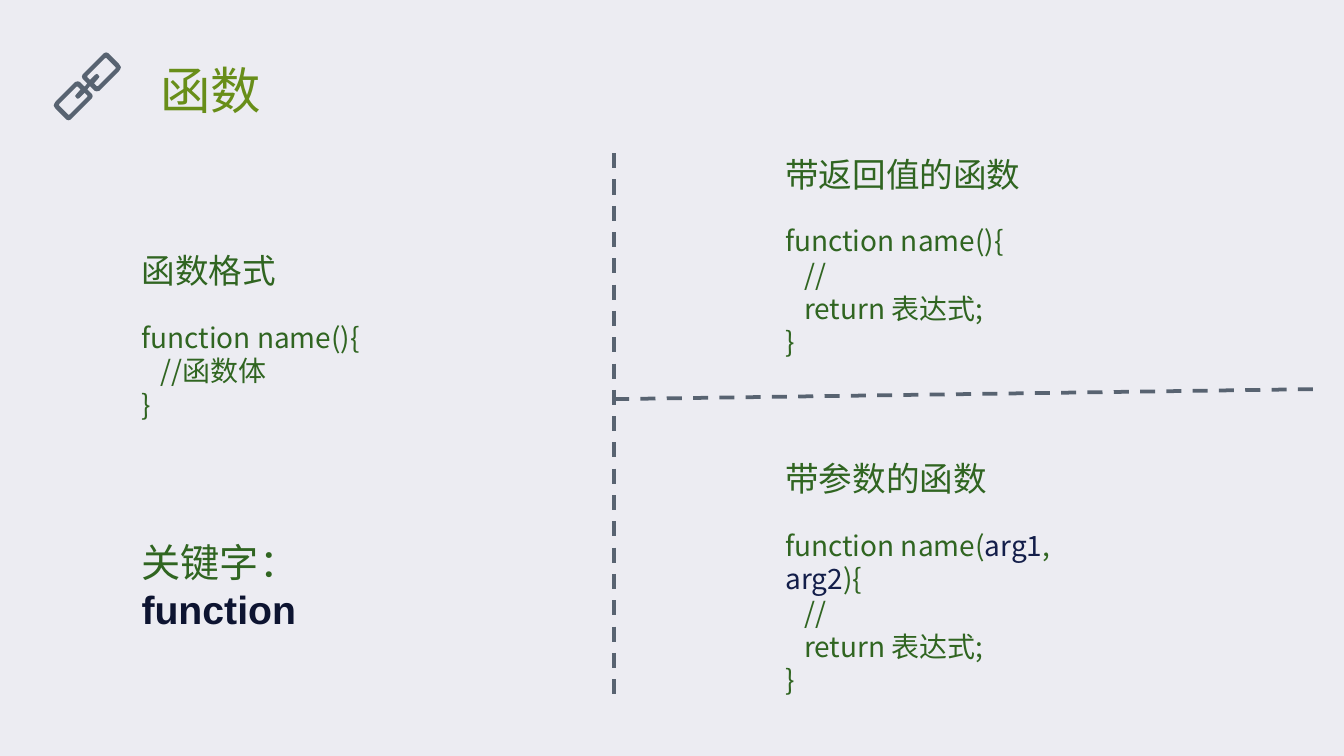
from dataclasses import dataclass

from lxml.etree import SubElement
from pptx import Presentation
from pptx.dml.color import RGBColor as Rgb
from pptx.enum.dml import MSO_LINE_DASH_STYLE as Dash
from pptx.enum.shapes import MSO_CONNECTOR as Link
from pptx.enum.text import MSO_AUTO_SIZE as Fit
from pptx.oxml.ns import qn
from pptx.util import Pt

PX = 4572  # EMU per px, 200 px to the inch


@dataclass(frozen=True)
class Theme:
    back: str = "ECECF2"
    title: str = "688E19"
    body: str = "306521"
    arg: str = "131E4A"
    key: str = "0D1431"
    slate: str = "586371"
    cjk: str = "Noto Sans CJK SC"
    sans: str = "Arial"
    title_pt: int = 27
    key_pt: int = 21
    head_pt: int = 18
    code_pt: int = 15
    gap_pt: int = 16
    line_pt: int = 2
    indent: int = 28


class Page:
    def __init__(self, deck, theme):
        self.theme = theme
        self.slide = deck.slides.add_slide(deck.slide_layouts[6])
        self.shapes = self.slide.shapes
        fill = self.slide.background.fill
        fill.solid()
        fill.fore_color.rgb = Rgb.from_string(theme.back)

    def box(self, x, y, w, h):
        box = self.shapes.add_textbox(x * PX, y * PX, w * PX, h * PX)
        frame = box.text_frame
        frame.word_wrap = True
        frame.auto_size = Fit.SHAPE_TO_FIT_TEXT
        return frame

    def style(self, run, size, color, face=None, bold=None):
        font = run.font
        font.size = Pt(size)
        font.bold = bold
        font.color.rgb = Rgb.from_string(color)
        font.name = face or self.theme.cjk
        SubElement(font._element, qn("a:ea"), typeface=self.theme.cjk)

    def title(self, text, *area):
        frame = self.box(*area)
        frame.text = text
        self.style(frame.paragraphs[0].runs[0], self.theme.title_pt, self.theme.title)

    def term(self, label, word, *area):
        t = self.theme
        para = self.box(*area).paragraphs[0]
        for text, color, bold in ((label, t.body, None), (word, t.key, True)):
            run = para.add_run()
            run.text = text
            self.style(run, t.key_pt, color, t.sans, bold)

    def code(self, head, first, inner, *area):
        """Heading, then a function: first line as (text, color) parts."""
        t = self.theme
        frame = self.box(*area)
        top = frame.paragraphs[0]
        top.text = head
        top.space_after = Pt(t.gap_pt)
        self.style(top.runs[0], t.head_pt, t.body)

        para = frame.add_paragraph()
        for text, color in first:
            run = para.add_run()
            run.text = text
            self.style(run, t.code_pt, color)

        for text in (*inner, "}"):
            para = frame.add_paragraph()
            para.text = text
            self.style(para.runs[0], t.code_pt, t.body)
            if text != "}":
                para._p.get_or_add_pPr().set("marL", str(t.indent * PX))

    def dash(self, x1, y1, x2, y2):
        rule = self.shapes.add_connector(
            Link.STRAIGHT, x1 * PX, y1 * PX, x2 * PX, y2 * PX)
        rule.line.color.rgb = Rgb.from_string(self.theme.slate)
        rule.line.width = Pt(self.theme.line_pt)
        rule.line.dash_style = Dash.DASH
        SubElement(rule._element.spPr, qn("a:effectLst"))

    def outline(self, *loops):
        first, *holes = loops
        pen = self.shapes.build_freeform(*first[0], scale=PX)
        pen.add_line_segments(first[1:])
        for hole in holes:
            pen.move_to(*hole[0])
            pen.add_line_segments(hole[1:])
        shape = pen.convert_to_shape()
        shape.shadow.inherit = False
        shape.fill.solid()
        shape.fill.fore_color.rgb = Rgb.from_string(self.theme.slate)
        shape.line.fill.background()


def turn(points):
    """Half a turn about the middle of the chain."""
    return [(260 - x, 257 - y) for x, y in points]


def main():
    deck = Presentation()
    deck.slide_width, deck.slide_height = 2000 * PX, 1125 * PX
    t = Theme()
    page = Page(deck, t)

    # Title
    page.title("函数", 219, 78, 382, 110)

    # Left side: basic form and keyword
    plain = [("function name(){", t.body)]
    page.code("函数格式", plain, ["//函数体"], 191, 362, 412, 278)
    page.term("关键字：", "function", 191, 791, 500, 90)

    # Dividers and right side: return value and arguments
    inner = ["//", "return 表达式;"]
    args = [("function name(", t.body), ("arg1", t.arg), (", ", t.body),
            ("arg2", t.arg), ("){", t.body)]
    page.dash(914, 228, 914, 1036)
    page.code("带返回值的函数", plain, inner, 1149, 219, 536, 328)
    page.code("带参数的函数", args, inner, 1149, 672, 536, 378)
    page.dash(914, 594, 1962, 579)

    # Chain icon: the lower link is the upper one turned round
    rim = [(130, 124), (126, 120), (123, 117), (122, 114), (123, 111), (126, 108),
           (152, 82), (155, 79), (158, 78), (161, 79), (164, 82), (177, 95),
           (179, 98), (180, 100), (179, 103), (177, 106), (151, 132), (148, 135),
           (144, 136), (141, 135), (138, 132), (134, 128)]
    hole = [(158, 86), (156, 87), (130, 113), (130, 115), (134, 119), (142, 111),
            (144, 110), (146, 111), (148, 114), (147, 116), (140, 124), (144, 128),
            (146, 128), (172, 102), (172, 100)]
    page.outline(rim + turn(rim), hole, turn(hole))

    deck.save("out.pptx")


if __name__ == "__main__":
    main()
